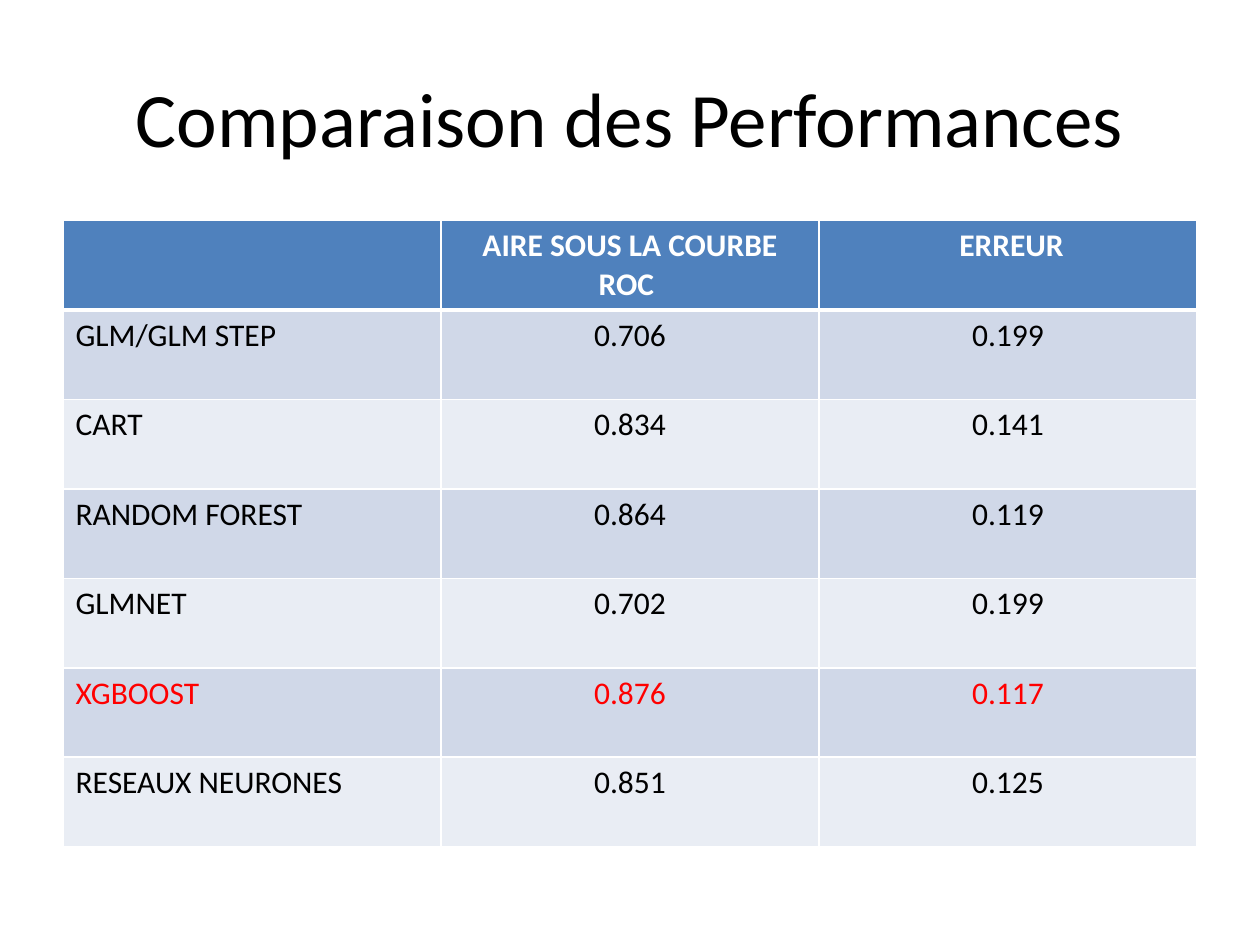
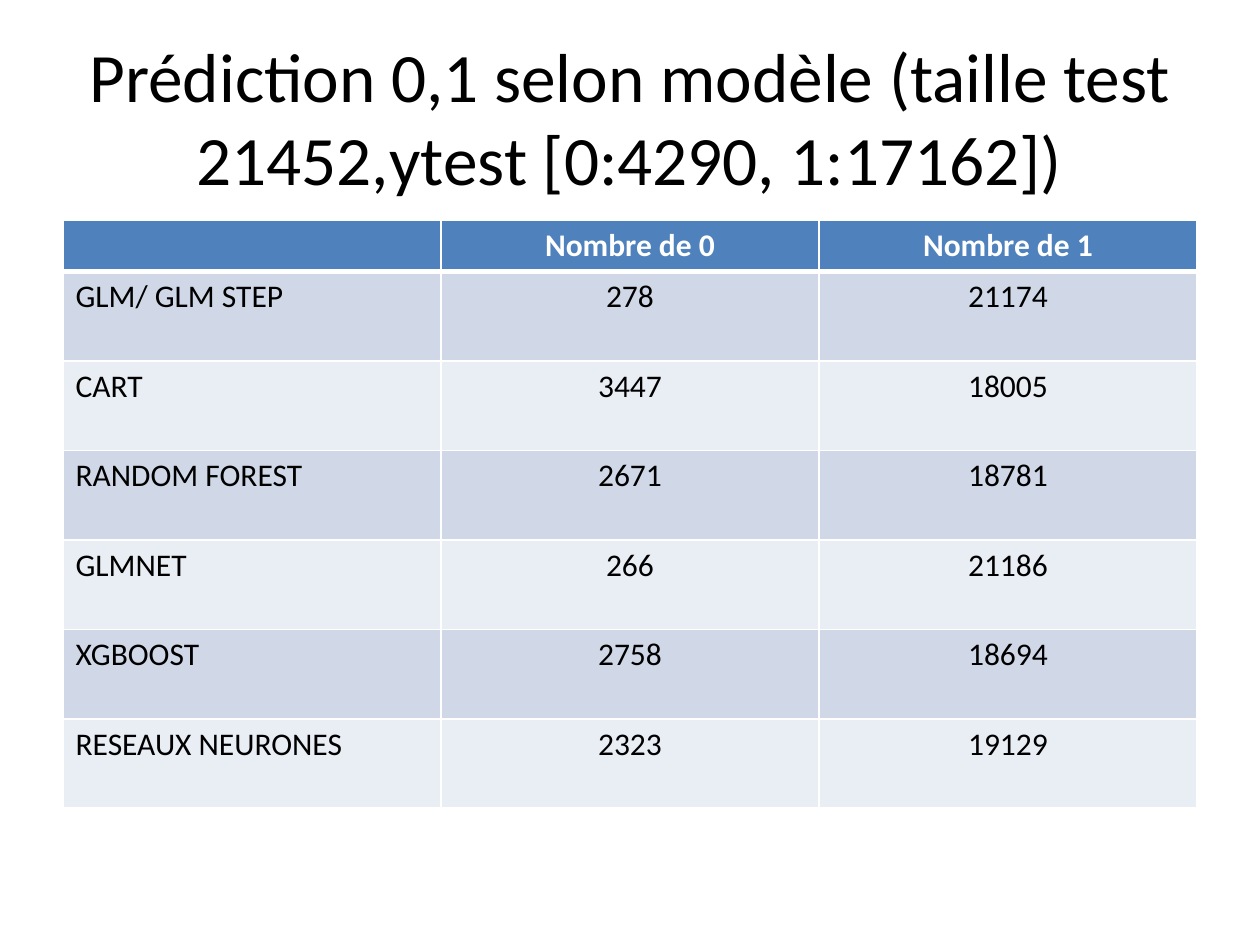
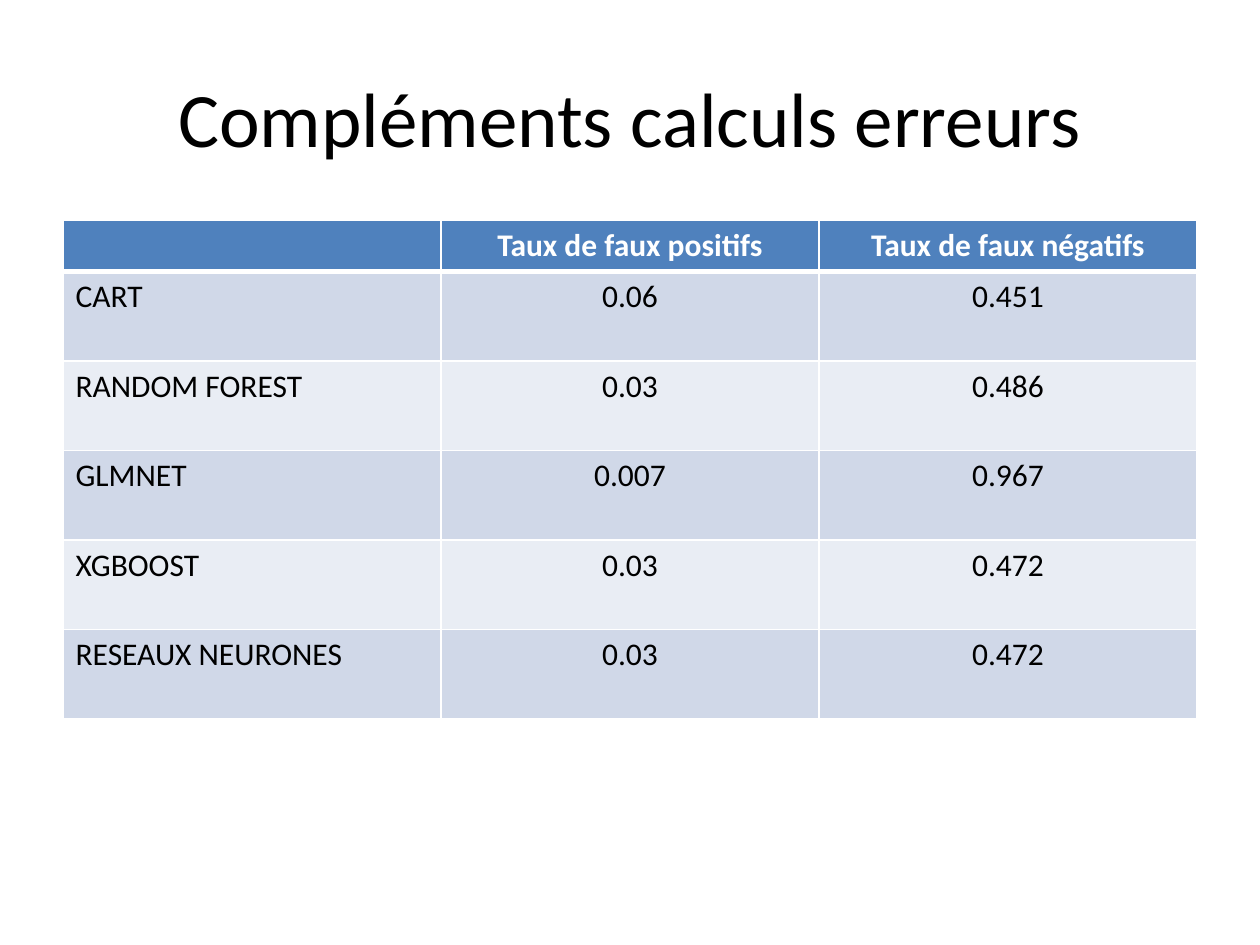
from dataclasses import dataclass

import pptx
import pptx.dml.color
import pptx.enum.text
import pptx.oxml.ns
import pptx.util
from lxml import etree

Inches = pptx.util.Inches
Align = pptx.enum.text.PP_ALIGN
Anchor = pptx.enum.text.MSO_ANCHOR


@dataclass(frozen=True)
class Theme:
    font: str = "Calibri"
    ink: str = "000000"
    header_ink: str = "FFFFFF"
    highlight: str = "FF0000"
    header_fill: str = "4F81BD"
    band_fills: tuple = ("D0D8E8", "E9EDF4")
    rule: str = "FFFFFF"
    rule_width: float = 1
    header_rule_width: float = 3
    title_size: float = 44
    long_title_size: float = 39.6
    table_size: float = 18


THEME = Theme()
MARGIN = 0.5
CONTENT_WIDTH = 9
TITLE_TOP = 0.3
TITLE_HEIGHT = 1.25
TABLE_TOP = 1.75
ROW_HEIGHT = 0.71
HEADER_HEIGHT = 0.4


def write_text(frame, text, *, size, color=THEME.ink, bold=False, align=Align.LEFT):
    paragraph = frame.paragraphs[0]
    paragraph.alignment = align
    paragraph.font.size = pptx.util.Pt(size)
    if not text:
        return
    run = paragraph.add_run()
    run.text = text
    run.font.name = THEME.font
    run.font.size = pptx.util.Pt(size)
    run.font.bold = bold
    run.font.color.rgb = pptx.dml.color.RGBColor.from_string(color)


def add_titled_slide(deck, heading, size=THEME.title_size):
    slide = deck.slides.add_slide(deck.slide_layouts[5])
    title = slide.shapes.title
    title.left, title.top = Inches(MARGIN), Inches(TITLE_TOP)
    title.width, title.height = Inches(CONTENT_WIDTH), Inches(TITLE_HEIGHT)
    frame = title.text_frame
    frame.word_wrap = True
    frame.auto_size = pptx.enum.text.MSO_AUTO_SIZE.NONE
    frame.vertical_anchor = Anchor.MIDDLE
    write_text(frame, heading, size=size, align=Align.CENTER)
    return slide


def rule_cell(cell, **widths):
    qn = pptx.oxml.ns.qn
    properties = cell._tc.get_or_add_tcPr()
    for side in "LRTB":
        width = widths.get(side, THEME.rule_width)
        line = etree.SubElement(properties, qn(f"a:ln{side}"), w=str(pptx.util.Pt(width)))
        fill = etree.SubElement(line, qn("a:solidFill"))
        etree.SubElement(fill, qn("a:srgbClr"), val=THEME.rule)


def fill_cell(cell, color):
    cell.fill.solid()
    cell.fill.fore_color.rgb = pptx.dml.color.RGBColor.from_string(color)


def add_model_table(slide, measures, models, header_height=HEADER_HEIGHT, best=None):
    rows = [("", *measures), *models]
    column_count = len(rows[0])
    height = header_height + ROW_HEIGHT * len(models)
    table = slide.shapes.add_table(
        len(rows), column_count, Inches(MARGIN), Inches(TABLE_TOP),
        Inches(CONTENT_WIDTH), Inches(height),
    ).table
    for column in table.columns:
        column.width = Inches(CONTENT_WIDTH / column_count)

    for row_index, values in enumerate(rows):
        is_header = row_index == 0
        table.rows[row_index].height = Inches(header_height if is_header else ROW_HEIGHT)
        if is_header:
            fill, ink = THEME.header_fill, THEME.header_ink
            widths = {"B": THEME.header_rule_width}
        else:
            fill = THEME.band_fills[(row_index - 1) % 2]
            ink = THEME.highlight if values[0] == best else THEME.ink
            widths = {"T": THEME.header_rule_width} if row_index == 1 else {}
        for column_index, value in enumerate(values):
            cell = table.cell(row_index, column_index)
            rule_cell(cell, **widths)
            fill_cell(cell, fill)
            write_text(
                cell.text_frame, value, size=THEME.table_size, color=ink, bold=is_header,
                align=Align.CENTER if column_index else Align.LEFT,
            )


def add_performance_slide(deck):
    slide = add_titled_slide(deck, "Comparaison des Performances")
    add_model_table(
        slide,
        ("AIRE SOUS LA COURBE ROC ", " ERREUR"),
        [
            ("GLM/GLM STEP", "0.706", "0.199"),
            ("CART", "0.834", "0.141"),
            ("RANDOM FOREST", "0.864", "0.119"),
            ("GLMNET", "0.702", "0.199"),
            ("XGBOOST", "0.876", "0.117"),
            ("RESEAUX NEURONES", "0.851", "0.125"),
        ],
        header_height=ROW_HEIGHT,
        best="XGBOOST",
    )


def add_prediction_slide(deck):
    slide = add_titled_slide(
        deck,
        "Prédiction 0,1 selon modèle (taille test 21452,ytest [0:4290, 1:17162])",
        size=THEME.long_title_size,
    )
    add_model_table(
        slide,
        ("Nombre de 0", "Nombre de 1"),
        [
            ("GLM/ GLM STEP", "278", "21174"),
            ("CART", "3447", "18005"),
            ("RANDOM FOREST", "2671", "18781"),
            ("GLMNET", "266", "21186"),
            ("XGBOOST", "2758", "18694"),
            ("RESEAUX NEURONES", "2323", "19129"),
        ],
    )


def add_error_slide(deck):
    slide = add_titled_slide(deck, "Compléments calculs erreurs")
    add_model_table(
        slide,
        ("Taux de faux positifs", "Taux de faux négatifs"),
        [
            ("CART", "0.06", "0.451"),
            ("RANDOM FOREST", "0.03", "0.486"),
            ("GLMNET", "0.007", "0.967"),
            ("XGBOOST", "0.03", "0.472"),
            ("RESEAUX NEURONES", "0.03", "0.472"),
        ],
    )


def main():
    deck = pptx.Presentation()
    deck.slide_width, deck.slide_height = Inches(10), Inches(7.5)
    add_performance_slide(deck)
    add_prediction_slide(deck)
    add_error_slide(deck)
    deck.save("out.pptx")


if __name__ == "__main__":
    main()
